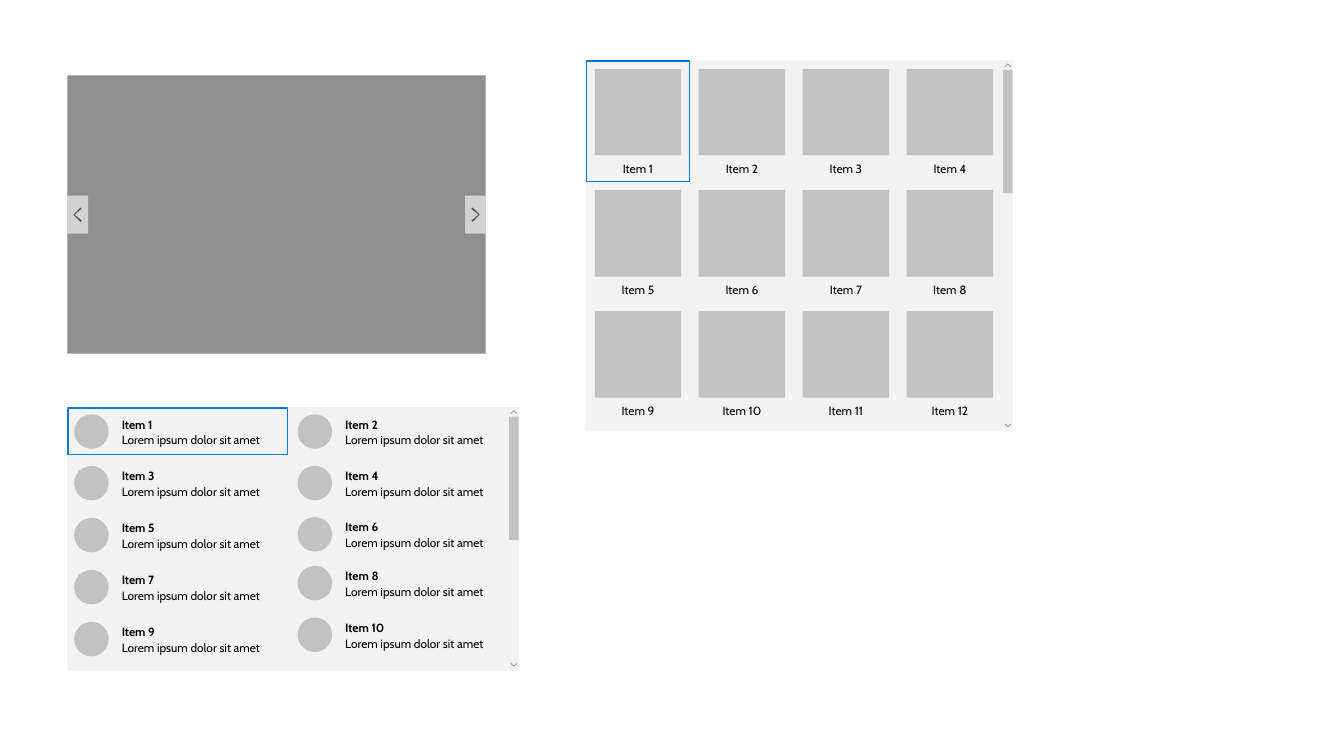
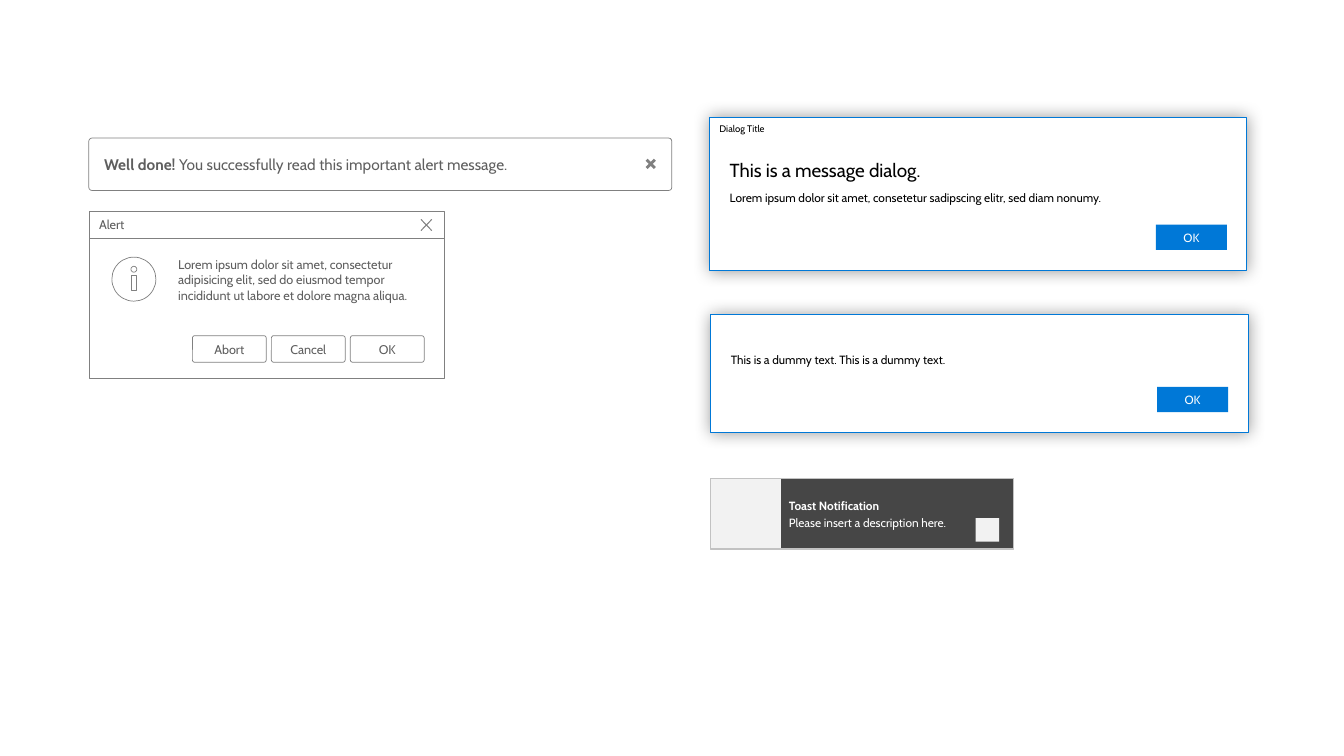
"""Build two slides of interface mock-ups: galleries and lists, then dialogs and alerts."""
from lxml import etree
from pptx import Presentation
from pptx.dml.color import RGBColor
from pptx.enum.shapes import MSO_CONNECTOR, MSO_SHAPE
from pptx.enum.text import MSO_ANCHOR, PP_ALIGN
from pptx.oxml.ns import qn
from pptx.util import Cm, Pt

RECT, ROUND, OVAL = MSO_SHAPE.RECTANGLE, MSO_SHAPE.ROUNDED_RECTANGLE, MSO_SHAPE.OVAL
STRAIGHT = MSO_CONNECTOR.STRAIGHT
TOP, MIDDLE = MSO_ANCHOR.TOP, MSO_ANCHOR.MIDDLE
LEFT, CENTER = PP_ALIGN.LEFT, PP_ALIGN.CENTER

WHITE = RGBColor(0xFF, 0xFF, 0xFF)
BLACK = RGBColor(0x00, 0x00, 0x00)
PALE = RGBColor(0xF2, 0xF2, 0xF2)
SILVER = RGBColor(0xC2, 0xC2, 0xC2)
ARROW = RGBColor(0x99, 0x99, 0x99)
STAGE = RGBColor(0x8F, 0x8F, 0x8F)
GREY = RGBColor(0x80, 0x80, 0x80)
INK = RGBColor(0x5F, 0x5F, 0x5F)
DARK = RGBColor(0x46, 0x46, 0x46)
BLUE = RGBColor(0x00, 0x78, 0xD7)

SIDES = ("margin_left", "margin_top", "margin_right", "margin_bottom")
PAD = (0.25, 0.13, 0.25, 0.13)
BARE = (0, 0, 0, 0)
LOREM = "Lorem ipsum dolor sit amet"


def paint(shape, fill=None, line=None, width=0.5, alpha=None):
    """Set fill, outline and opacity of a shape and drop its shadow."""
    shape.shadow.inherit = False
    if fill is None:
        shape.fill.background()
    else:
        shape.fill.solid()
        shape.fill.fore_color.rgb = fill
    if line is None:
        shape.line.fill.background()
    else:
        shape.line.color.rgb = line
        shape.line.width = Pt(width)
    if alpha:
        for tint in shape.element.xpath("./p:spPr/a:solidFill/a:srgbClr"):
            etree.SubElement(tint, qn("a:alpha"), val=str(alpha * 1000))
    return shape


def write(shape, rows, size=8.5, color=BLACK, pad=PAD, anchor=MIDDLE, **form):
    """Fill a shape with paragraphs, each a list of (text, bold) runs."""
    frame = shape.text_frame
    look = {"word_wrap": True, "vertical_anchor": anchor}
    look.update(zip(SIDES, map(Cm, pad)))
    for name, value in look.items():
        setattr(frame, name, value)
    for i, row in enumerate(rows):
        para = frame.add_paragraph() if i else frame.paragraphs[0]
        for name, value in {"alignment": LEFT, **form}.items():
            setattr(para, name, value)
        for text, bold in row:
            run = para.add_run()
            run.text = text
            run.font.color.rgb = color
            for name, value in {"name": "Cabin", "size": Pt(size), "bold": bold}.items():
                setattr(run.font, name, value)


deck = Presentation()
deck.slide_width, deck.slide_height = Cm(33.87), Cm(19.05)
blank = deck.slide_layouts[6]

art = deck.slides.add_slide(blank).shapes
outlines = []

paint(art.add_shape(RECT, Cm(1.7), Cm(1.9), Cm(10.54), Cm(7.01)), STAGE)
hook = [(2.03, 5.23), (1.85, 5.41), (2.03, 5.59), (2.06, 5.56), (1.88, 5.41), (2.06, 5.26)]
for left, points in ((1.7, hook), (11.72, [(13.94 - x, y) for x, y in hook])):
    paint(art.add_shape(RECT, Cm(left), Cm(4.93), Cm(0.52), Cm(0.96)), WHITE, alpha=60)
    outlines.append((art, points, BLACK, 60))

caret = [(-0.08, 0.07), (0, 0), (0.08, 0.07), (0.07, 0.09), (0, 0.03), (-0.07, 0.09)]
for left, top, wide, high in ((14.76, 1.52, 10.52, 9.35), (1.7, 10.26, 11.13, 6.64)):
    bar = left + wide
    for x, y, w, h, fill in (
        (left, top, wide, high, PALE),
        (bar, top, 0.24, high, PALE),
        (bar, top + 0.24, 0.24, 3.11, SILVER),
    ):
        paint(art.add_shape(RECT, Cm(x), Cm(y), Cm(w), Cm(h)), fill)
    for tip, way in ((top + 0.08, 1), (top + high - 0.1, -1)):
        points = [(bar + 0.12 + way * x, tip + way * y) for x, y in caret]
        outlines.append((art, points, ARROW, None))

for i in range(12):
    row, col = divmod(i, 4)
    x, y = 14.99 + 2.62 * col, 1.74 + 3.05 * row
    paint(art.add_shape(RECT, Cm(x), Cm(y), Cm(2.18), Cm(2.18)), SILVER)
    label = art.add_textbox(Cm(x), Cm(y + 2.18), Cm(2.18), Cm(0.64))
    write(label, [[(f"Item {i + 1}", False)]], pad=(0.15, 0.03, 0.15, 0.03),
          alignment=CENTER, line_spacing=1.1, space_before=Pt(3), space_after=Pt(3))

tops = ((10.44, 11.74, 13.05, 14.36, 15.67), (10.44, 11.74, 13.03, 14.26, 15.56))
for col, column in enumerate(tops):
    x = 1.87 + 5.63 * col
    for row, y in enumerate(column):
        paint(art.add_shape(OVAL, Cm(x), Cm(y), Cm(0.87), Cm(0.87)), SILVER)
        label = art.add_textbox(Cm(x + 0.87), Cm(y), Cm(4.47), Cm(0.87))
        write(label, [[(f"Item {2 * row + col + 1}", True)], [(LOREM, False)]],
              pad=(0.33, 0.13, 0.15, 0.13), line_spacing=1.1)

for x, y, w, h in ((14.78, 1.54, 2.6, 3.03), (1.71, 10.28, 5.54, 1.18)):
    paint(art.add_shape(RECT, Cm(x), Cm(y), Cm(w), Cm(h)), line=BLUE, width=1)

art = deck.slides.add_slide(blank).shapes

alert = paint(art.add_shape(ROUND, Cm(2.24), Cm(3.48), Cm(14.69), Cm(1.32)), WHITE, GREY)
alert.adjustments[0] = 0.058
note = [("Well done!", True), (" You successfully read this important alert message.", False)]
write(alert, [note], 11, INK, (0.36, 0.4, 0.36, 0.4))
cross = [(-0.08, -0.13), (-0.13, -0.08), (-0.05, 0), (-0.13, 0.08), (-0.08, 0.13), (0, 0.05),
         (0.08, 0.13), (0.13, 0.08), (0.05, 0), (0.13, -0.08), (0.08, -0.13), (0, -0.05)]
outlines.append((art, [(16.4 + x, 4.13 + y) for x, y in cross], GREY, None))

paint(art.add_shape(RECT, Cm(2.25), Cm(6), Cm(8.94), Cm(3.53)), WHITE, GREY)
title = paint(art.add_shape(RECT, Cm(2.25), Cm(5.33), Cm(8.94), Cm(0.67)), WHITE, GREY)
write(title, [[("Alert", False)]], 9, INK)
body = art.add_textbox(Cm(4.29), Cm(6.38), Cm(6.38), Cm(1.9))
text = LOREM + (", consectetur adipisicing elit, sed do eiusmod tempor "
                "incididunt ut labore et dolore magna aliqua.")
write(body, [[(text, False)]], 9, INK, (0.2, 0.1, 0.2, 0.1), TOP)
for start, end in ((5.53, 5.81), (5.81, 5.53)):
    stroke = art.add_connector(STRAIGHT, Cm(10.61), Cm(start), Cm(10.88), Cm(end))
    stroke.line.color.rgb = GREY
    stroke.line.width = Pt(0.75)
    etree.SubElement(stroke.element.spPr, qn("a:effectLst"))
for kind, x, y, w, h in (
    (OVAL, 2.82, 6.48, 1.11, 1.11),
    (OVAL, 3.3, 6.71, 0.15, 0.15),
    (RECT, 3.3, 6.93, 0.15, 0.4),
):
    paint(art.add_shape(kind, Cm(x), Cm(y), Cm(w), Cm(h)), line=GREY)
for i, name in enumerate(("Abort", "Cancel", "OK")):
    key = paint(art.add_shape(ROUND, Cm(4.85 + 1.99 * i), Cm(8.46), Cm(1.86), Cm(0.67)), WHITE, GREY)
    key.adjustments[0] = 0.088
    write(key, [[(name, False)]], 9, INK, alignment=CENTER)

first = (
    (3.99, 0.58, 13.5, "This is a message dialog."),
    (4.8, 0.36, 8.5, LOREM + ", consetetur sadipscing elitr, sed diam nonumy."),
)
second = ((8.89, 0.36, 8.5, "This is a dummy text. This is a dummy text."),)
for x, y, high, head, lines in (
    (17.88, 2.95, 3.86, "Dialog Title", first),
    (17.91, 7.93, 2.97, "", second),
):
    panel = paint(art.add_shape(RECT, Cm(x), Cm(y), Cm(13.54), Cm(high)), WHITE, BLUE)
    glow = etree.SubElement(panel.element.spPr.find(qn("a:effectLst")), qn("a:outerShdw"),
                            blurRad=str(Pt(12)), dist="0", dir="0", algn="ctr", rotWithShape="0")
    tint = etree.SubElement(glow, qn("a:srgbClr"), val=str(BLACK))
    etree.SubElement(tint, qn("a:alpha"), val="40000")
    if head:
        write(panel, [[(head, False)]], 6.8, pad=(0.25, 0.15, 0.25, 0.13), anchor=TOP)
    for top, tall, size, text in lines:
        label = art.add_textbox(Cm(x + 0.51), Cm(top), Cm(12.52), Cm(tall))
        write(label, [[(text, False)]], size, pad=BARE, anchor=TOP)
    key = paint(art.add_shape(RECT, Cm(x + 11.25), Cm(y + high - 1.15), Cm(1.79), Cm(0.64)), BLUE)
    write(key, [[("OK", False)]], color=WHITE, alignment=CENTER)

toast = paint(art.add_shape(RECT, Cm(17.9), Cm(12.06), Cm(7.65), Cm(1.78)), DARK)
write(toast, [[("Toast Notification", True)], [("Please insert a description here.", False)]],
      color=WHITE, pad=(1.98, 0.13, 0.25, 0.13), space_after=Pt(2))
for x, y, side in ((17.9, 12.06, 1.78), (24.59, 13.06, 0.59)):
    paint(art.add_shape(RECT, Cm(x), Cm(y), Cm(side), Cm(side)), PALE)
paint(art.add_shape(RECT, Cm(17.9), Cm(12.06), Cm(7.65), Cm(1.78)), line=SILVER, width=1)

for page, points, fill, alpha in outlines:
    spots = [(Cm(x), Cm(y)) for x, y in points]
    pen = page.build_freeform(*spots[0])
    pen.add_line_segments(spots[1:])
    paint(pen.convert_to_shape(), fill, alpha=alpha)

deck.save("out.pptx")
